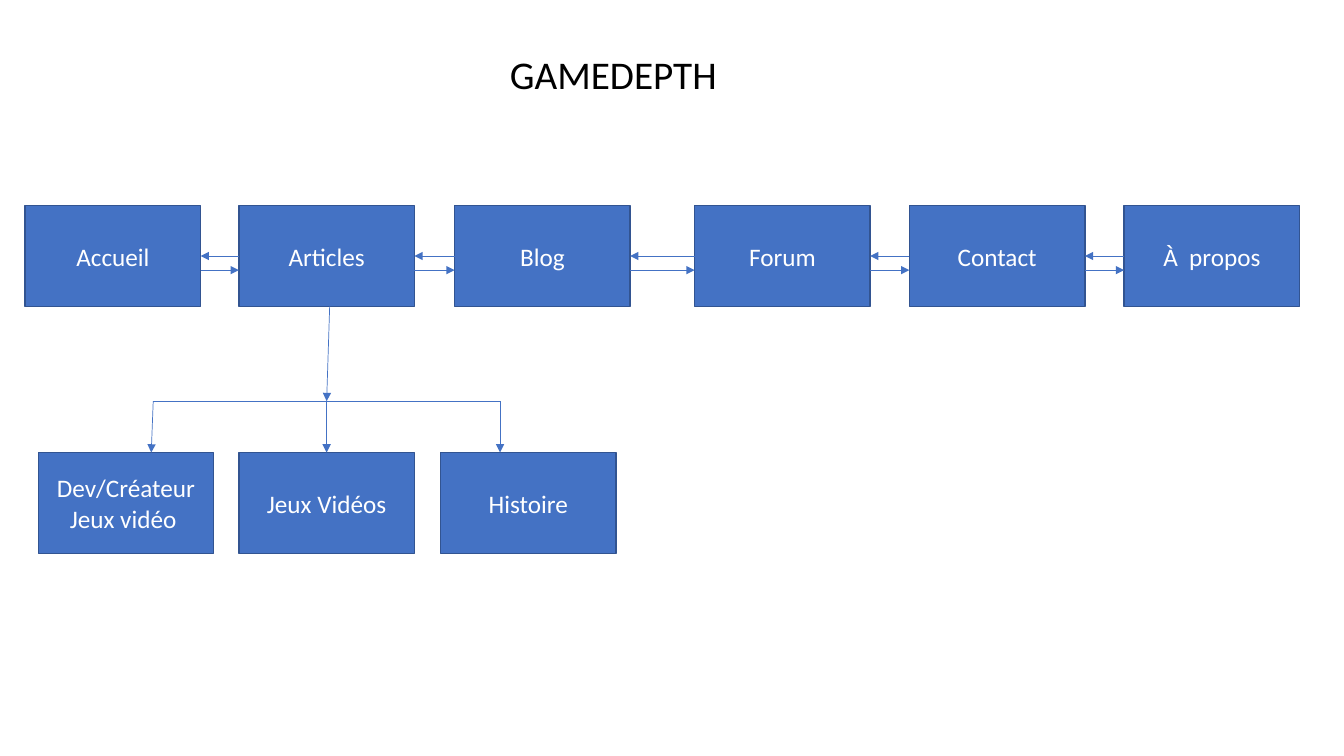
from lxml import etree
from pptx import Presentation
from pptx.dml.color import RGBColor
from pptx.enum.shapes import MSO_CONNECTOR, MSO_SHAPE
from pptx.enum.text import MSO_ANCHOR, MSO_AUTO_SIZE, PP_ALIGN
from pptx.oxml.ns import qn
from pptx.util import Inches, Pt

TOP, LEFT, RIGHT = 0, 1, 3
BOX_W, BOX_H = 1.74, 1
MENU_Y, SUBMENU_Y, BRANCH_Y = 2.04, 4.49, 3.98
MENU = [("Accueil", 0.25), ("Articles", 2.37), ("Blog", 4.51),
        ("Forum", 6.89), ("Contact", 9.02), ("À  propos", 11.15)]
SUBMENU = [("Dev/Créateur\nJeux vidéo ", 0.38), ("Jeux Vidéos", 2.37),
           ("Histoire", 4.37)]


def rgb(color):
    return RGBColor.from_string(color)


class SiteMap:
    font = "Calibri"
    blue, border = "4472C4", "325491"

    def __init__(self, slide):
        self.shapes = slide.shapes

    def add_text(self, tf, text, size, color, align):
        for i, line in enumerate(text.split("\n")):
            p = tf.paragraphs[0] if i == 0 else tf.add_paragraph()
            p.alignment = align
            r = p.add_run()
            r.text = line
            r.font.name = self.font
            r.font.size = Pt(size)
            r.font.color.rgb = rgb(color)

    def title(self, text, x, y, w, h):
        tf = self.shapes.add_textbox(Inches(x), Inches(y), Inches(w), Inches(h)).text_frame
        tf.word_wrap = True
        tf.auto_size = MSO_AUTO_SIZE.SHAPE_TO_FIT_TEXT
        self.add_text(tf, text, 28, "000000", PP_ALIGN.LEFT)

    def page(self, text, x, y):
        sp = self.shapes.add_shape(MSO_SHAPE.RECTANGLE, Inches(x), Inches(y),
                                   Inches(BOX_W), Inches(BOX_H))
        sp.shadow.inherit = False
        sp.fill.solid()
        sp.fill.fore_color.rgb = rgb(self.blue)
        sp.line.color.rgb = rgb(self.border)
        sp.line.width = Pt(1)
        tf = sp.text_frame
        tf.word_wrap = True
        tf.vertical_anchor = MSO_ANCHOR.MIDDLE
        self.add_text(tf, text, 18, "FFFFFF", PP_ALIGN.CENTER)
        return sp

    def line(self, x1, y1, x2, y2, arrow=True):
        cxn = self.shapes.add_connector(MSO_CONNECTOR.STRAIGHT, Inches(x1), Inches(y1),
                                        Inches(x2), Inches(y2))
        cxn.line.color.rgb = rgb(self.blue)
        cxn.line.width = Pt(0.5)
        sp_pr = cxn._element.spPr
        if arrow:
            etree.SubElement(sp_pr.find(qn("a:ln")), qn("a:tailEnd"), type="triangle")
        etree.SubElement(sp_pr, qn("a:effectLst"))
        return cxn


def main():
    prs = Presentation()
    prs.slide_width, prs.slide_height = Inches(13.33), Inches(7.5)
    site = SiteMap(prs.slides.add_slide(prs.slide_layouts[6]))

    site.title("GAMEDEPTH", 4.96, 0.45, 2.33, 0.57)
    menu = [(site.page(name, x, MENU_Y), x) for name, x in MENU]
    submenu = [site.page(name, x, SUBMENU_Y) for name, x in SUBMENU]

    middle = MENU_Y + BOX_H / 2
    for (page, x), (following, next_x) in zip(menu, menu[1:]):
        edge = x + BOX_W
        site.line(edge, middle + 0.14, next_x, middle + 0.14)
        back = site.line(next_x, middle, edge, middle)
        back.begin_connect(following, LEFT)
        back.end_connect(page, RIGHT)

    site.line(3.27, MENU_Y + BOX_H, 3.24, BRANCH_Y)
    site.line(1.52, BRANCH_Y, 4.96, BRANCH_Y, arrow=False)
    site.line(1.52, BRANCH_Y, 1.5, SUBMENU_Y)
    site.line(3.24, BRANCH_Y, 3.24, SUBMENU_Y).end_connect(submenu[1], TOP)
    site.line(4.96, BRANCH_Y, 4.96, SUBMENU_Y)

    prs.save("out.pptx")


if __name__ == "__main__":
    main()
